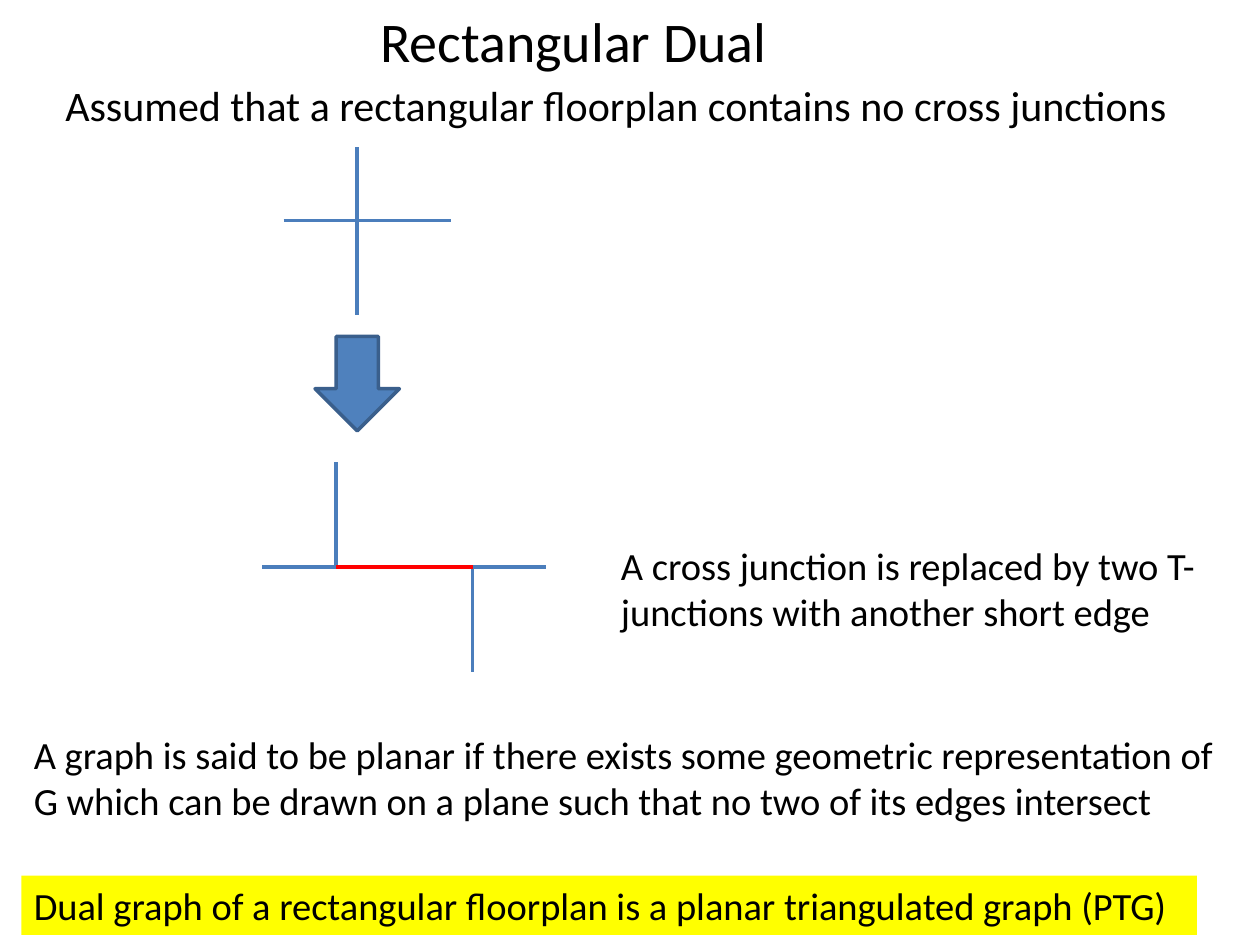
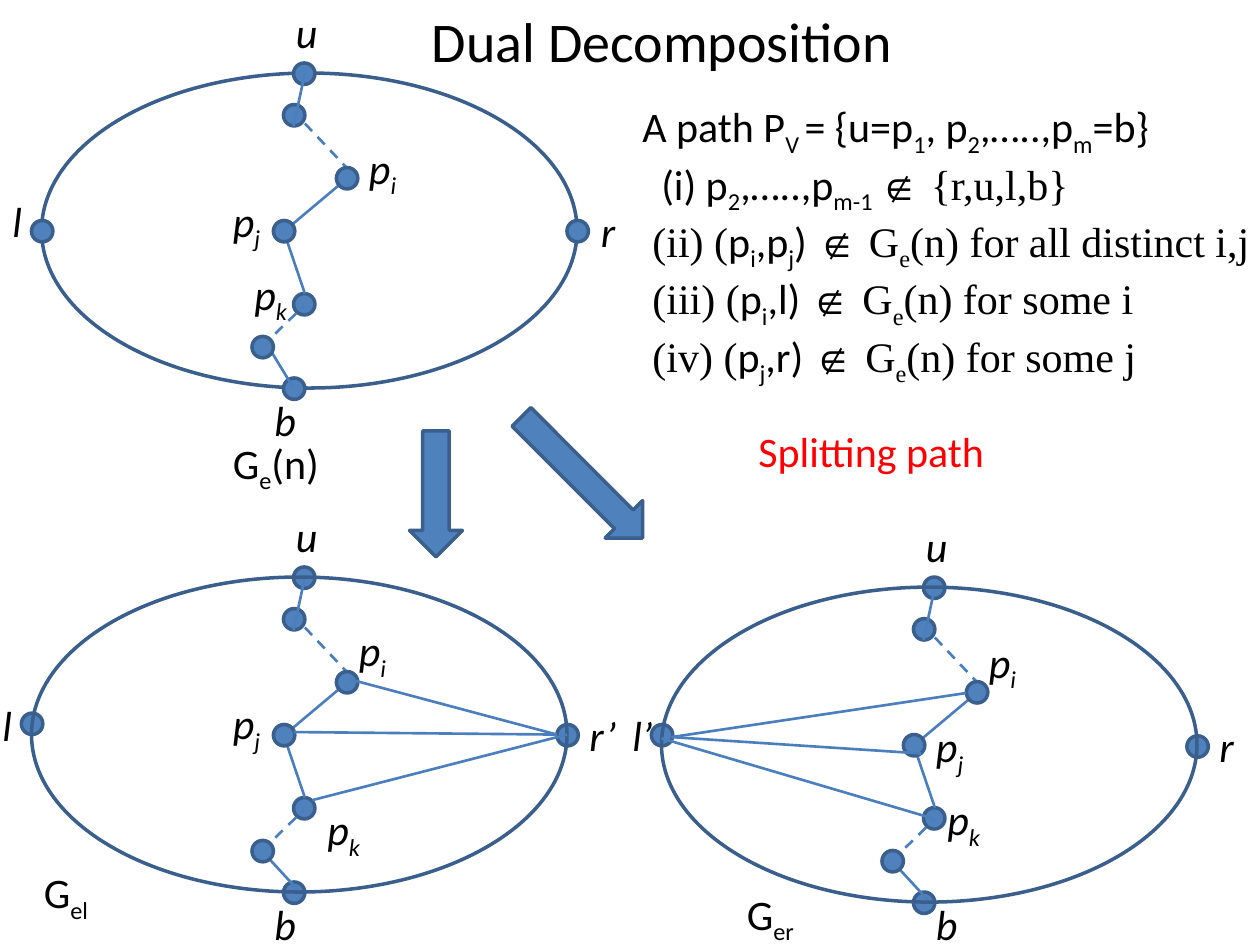
import dataclasses

import lxml.etree
import pptx
import pptx.dml.color
import pptx.enum.dml
import pptx.enum.shapes
import pptx.oxml.ns
import pptx.util

Inches = pptx.util.Inches
SHAPE = pptx.enum.shapes.MSO_SHAPE


@dataclasses.dataclass(frozen=True)
class Theme:
    black: str = "000000"
    red: str = "FF0000"
    yellow: str = "FFFF00"
    white: str = "FFFFFF"
    blue: str = "4F81BD"
    outline: str = "3A5F8C"
    edge: str = "4B7EBC"
    sans: str = "Calibri"
    serif: str = "Times New Roman"
    title: int = 32
    body: int = 24
    note: int = 22
    outline_width: float = 2
    edge_width: float = 1.5
    junction_width: float = 2.25
    dot: float = 0.17


T = Theme()


def rgb(value):
    return pptx.dml.color.RGBColor.from_string(value)


def add_runs(p, text, font=None):
    """Add text to p; every second part between bars is a subscript."""
    for i, part in enumerate(text.split("|")):
        if not part:
            continue
        r = p.add_run()
        r.text = part
        if font:
            r.font.name = font
        if i % 2:
            r.font._element.set("baseline", "-25000")


def style(p, size, color=T.black, italic=False, font=T.sans):
    p.font.size = pptx.util.Pt(size)
    p.font.color.rgb = rgb(color)
    p.font.italic = italic
    if font:
        p.font.name = font


def add_text(slide, box, text, size=T.body, color=T.black, italic=False, fill=None):
    sp = slide.shapes.add_textbox(*map(Inches, box))
    if fill:
        sp.fill.solid()
        sp.fill.fore_color.rgb = rgb(fill)
    tf = sp.text_frame
    tf.word_wrap = True
    p = tf.paragraphs[0]
    add_runs(p, text)
    style(p, size, color, italic)
    return sp


def add_title(slide, left, width, text):
    add_text(slide, (left, 0, width, 0.64), text, T.title)


def add_shape(slide, kind, box, fill=T.blue, rotation=0):
    sp = slide.shapes.add_shape(kind, *map(Inches, box))
    sp.shadow.inherit = False
    sp.rotation = rotation
    if fill:
        sp.fill.solid()
        sp.fill.fore_color.rgb = rgb(fill)
    else:
        sp.fill.background()
    sp.line.color.rgb = rgb(T.outline)
    sp.line.width = pptx.util.Pt(T.outline_width)
    return sp


def add_line(slide, start, end, x=0, y=0, color=T.edge, width=T.edge_width, dashed=False):
    (x1, y1), (x2, y2) = start, end
    line = slide.shapes.add_connector(
        pptx.enum.shapes.MSO_CONNECTOR.STRAIGHT,
        Inches(x + x1), Inches(y + y1), Inches(x + x2), Inches(y + y2))
    line.line.color.rgb = rgb(color)
    line.line.width = pptx.util.Pt(width)
    if dashed:
        line.line.dash_style = pptx.enum.dml.MSO_LINE.DASH
    lxml.etree.SubElement(line._element.spPr, pptx.oxml.ns.qn("a:effectLst"))


# Slide 1: rectangular dual

def cross_junction(slide, x, y):
    for start, end in [((0.58, 0), (0.58, 1.33)), ((0, 0.58), (1.33, 0.58))]:
        add_line(slide, start, end, x, y, width=T.junction_width)


def two_t_junctions(slide, x, y):
    upper, lower = (0.59, 0.83), (1.67, 0.83)
    for start, end, color in [
        ((0.59, 0), upper, T.edge),
        ((0, 0.83), upper, T.edge),
        (lower, (1.67, 1.66), T.edge),
        (upper, lower, T.red),
        (lower, (2.25, 0.83), T.edge),
    ]:
        add_line(slide, start, end, x, y, color, T.junction_width)


def rectangular_dual(slide):
    add_title(slide, 2.92, 4, "Rectangular Dual")
    add_text(slide, (0.42, 0.58, 9.17, 0.5),
             "Assumed that a rectangular floorplan contains no cross junctions")
    cross_junction(slide, 2.25, 1.17)
    add_shape(slide, SHAPE.RIGHT_ARROW, (2.46, 2.71, 0.75, 0.67), rotation=90)
    two_t_junctions(slide, 2.08, 3.67)
    add_text(slide, (4.83, 4.25, 4.92, 0.84),
             "A cross junction is replaced by two T-junctions with another short edge", T.note)
    add_text(slide, (0.17, 5.75, 9.75, 0.84),
             "A graph is said to be planar if there exists some geometric representation of G "
             "which can be drawn on a plane such that no two of its edges intersect", T.note)
    add_text(slide, (0.17, 6.95, 9.33, 0.47),
             "Dual graph of a rectangular floorplan is a planar triangulated graph (PTG)",
             T.note, fill=T.yellow)


# Slide 2: dual decomposition

DOTS_UNDER = [(2.33, 0.5), (2.33, 2.33), (2.25, 0.83), (2.25, 3)]
DOTS_OVER = [(2, 2.67), (2.67, 1.33), (2.17, 1.75)]
PATH_EDGES = [  # start, end, dashed
    ((2.42, 0.58), (2.33, 1), False),
    ((2.42, 0.98), (2.75, 1.33), True),
    ((2.19, 1.89), (2.75, 1.42), False),
    ((2.42, 2.33), (2.25, 1.83), False),
    ((2.08, 2.75), (2.42, 2.42), True),
]


def path_graph(slide, x, y, oval_left, ends, last_edge, labels, name, fill=None, fan=()):
    """Draw an oval split by the path from u to b, offset by (x, y)."""
    def oval():
        add_shape(slide, SHAPE.OVAL, (x + oval_left, y + 0.58, 4.25, 2.5), fill)

    def dots(points):
        for dx, dy in points:
            add_shape(slide, SHAPE.OVAL, (x + dx, y + dy, T.dot, T.dot))

    # A filled oval lies behind the path, an open one lies over it
    if fill:
        oval()
    dots(DOTS_UNDER)
    for start, end, dashed in PATH_EDGES + [(*last_edge, False)]:
        add_line(slide, start, end, x, y, dashed=dashed)
    dots(DOTS_OVER + ends)
    if not fill:
        oval()
    for start, end in fan:
        add_line(slide, start, end, x, y)

    # Vertex labels and graph name
    for text, dx, dy in [("u", 2.25, 0)] + labels:
        add_text(slide, (x + dx, y + dy, 0.58, 0.5), text, italic=True)
    text, dx, dy, width = name
    add_text(slide, (x + dx, y + dy, width, 0.5), text)


def path_rules(slide, box):
    rules = [  # indent, then text in each font
        (0, [(T.sans, "A path P|V |= {u=p|1|, p|2|,…..,p|m|=b}")]),
        (0.15, [(T.sans, "(i) p|2|,…..,p|m-1 |"), (T.serif, "∉ {r,u,l,b}")]),
        (0.08, [(T.serif, "(ii) ("), (T.sans, "p|i|,p|j|) "),
                (T.serif, "∉ G|e|(n) for all distinct i,j")]),
        (0.08, [(T.serif, "(iii) ("), (T.sans, "p|i|,l) "),
                (T.serif, "∉ G|e|(n) for some i")]),
        (0.08, [(T.serif, "(iv) ("), (T.sans, "p|j|,r) "),
                (T.serif, "∉ G|e|(n) for some j")]),
    ]
    tf = slide.shapes.add_textbox(*map(Inches, box)).text_frame
    tf.word_wrap = True
    tf.margin_right = 0
    for i, (indent, parts) in enumerate(rules):
        p = tf.add_paragraph() if i else tf.paragraphs[0]
        p._p.get_or_add_pPr().set("marL", str(Inches(indent)))
        for font, text in parts:
            add_runs(p, text, font)
        style(p, T.body, font=None)


def dual_decomposition(slide):
    split_edge = ((2.02, 2.69), (2.38, 3.08))
    # Whole graph
    path_graph(
        slide, 0, 0, 0.33, [(0.25, 1.75), (4.5, 1.75)], ((2.08, 2.67), (2.33, 3.08)),
        [("r", 4.67, 1.58), ("b", 2.08, 3.08), ("l", 0, 1.5),
         ("p|i", 2.83, 1.08), ("p|j", 1.75, 1.5), ("p|k", 1.92, 2.08)],
        ("G|e|(n)", 1.75, 3.42, 1.42), fill=T.white)
    # Right part
    path_graph(
        slide, 5, 4.08, 0.25, [(0.17, 1.67), (4.42, 1.76)], split_edge,
        [("r", 4.58, 1.59), ("b", 2.33, 3), ("l’", -0.08, 1.5),
         ("p|i", 2.75, 0.92), ("p|j", 2.33, 1.59), ("p|k", 2.42, 2.17)],
        ("G|er", 0.83, 2.92, 0.67),
        fan=[((2.67, 1.42), (0.33, 1.77)), ((2.31, 1.9), (0.33, 1.77)),
             ((2.42, 2.42), (0.25, 1.78))])
    # Left part
    path_graph(
        slide, 0, 4, 0.25, [(0.17, 1.66), (4.42, 1.75)], split_edge,
        [("r’", 4.58, 1.58), ("b", 2.08, 3.08), ("l", -0.08, 1.5),
         ("p|i", 2.75, 0.91), ("p|j", 1.75, 1.49), ("p|k", 2.5, 2.33)],
        ("G|el", 0.25, 2.83, 0.67),
        fan=[((2.77, 1.39), (4.42, 1.83)), ((2.33, 1.81), (4.42, 1.83)),
             ((2.48, 2.35), (4.5, 1.83))])
    # Arrows to the two parts
    add_shape(slide, SHAPE.DOWN_ARROW, (3.25, 3.42, 0.42, 1))
    add_shape(slide, SHAPE.DOWN_ARROW, (4.41, 3.11, 0.42, 1.36), rotation=315)
    # Title and rules of the splitting path
    add_title(slide, 3.33, 4.5, "Dual Decomposition")
    path_rules(slide, (5, 0.75, 5.17, 2.12))
    add_text(slide, (5.92, 3.33, 2.75, 0.5), "Splitting path", color=T.red)


def main():
    prs = pptx.Presentation()
    prs.slide_width, prs.slide_height = Inches(10), Inches(7.5)
    for build in (rectangular_dual, dual_decomposition):
        build(prs.slides.add_slide(prs.slide_layouts[6]))
    prs.save("out.pptx")


if __name__ == "__main__":
    main()
